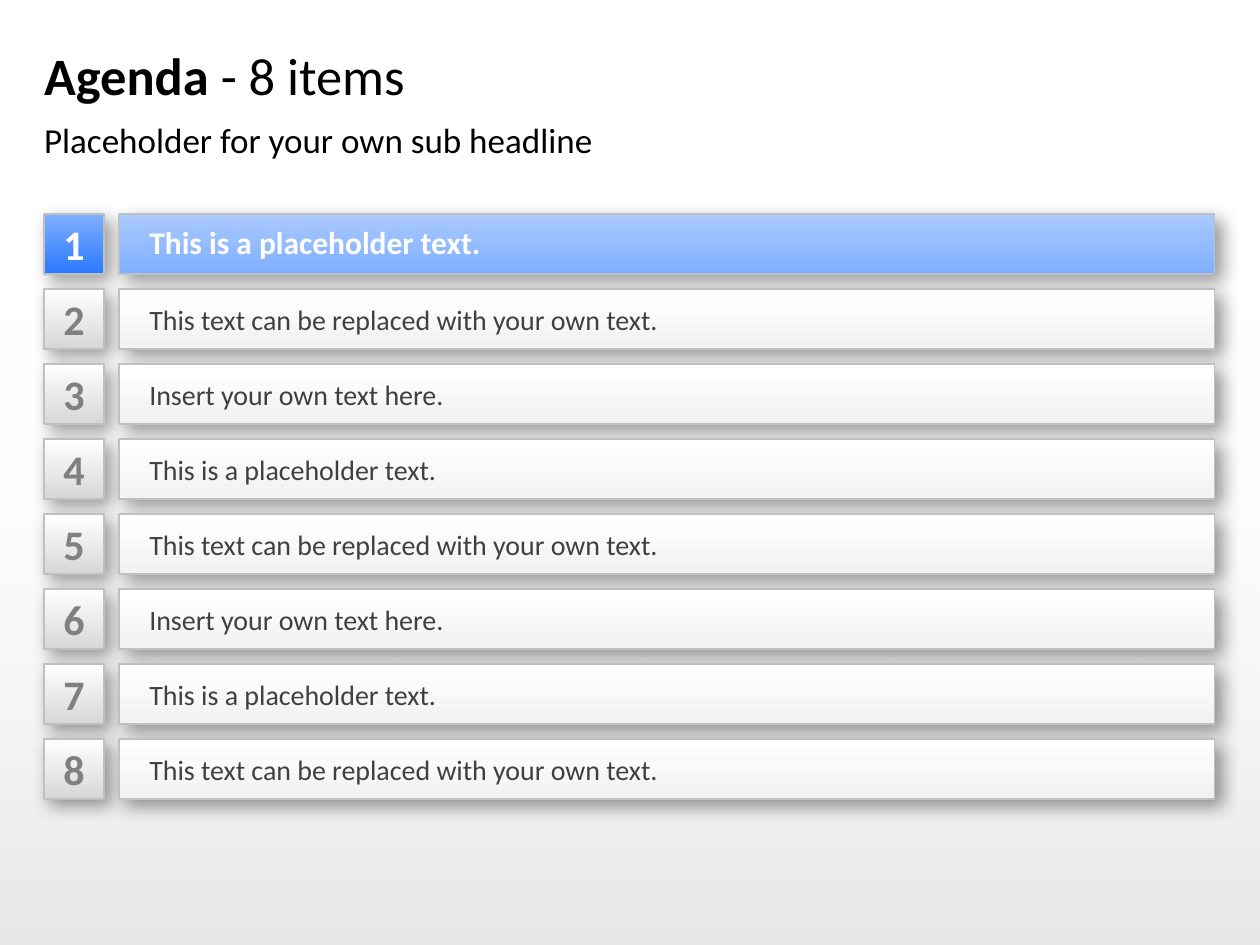
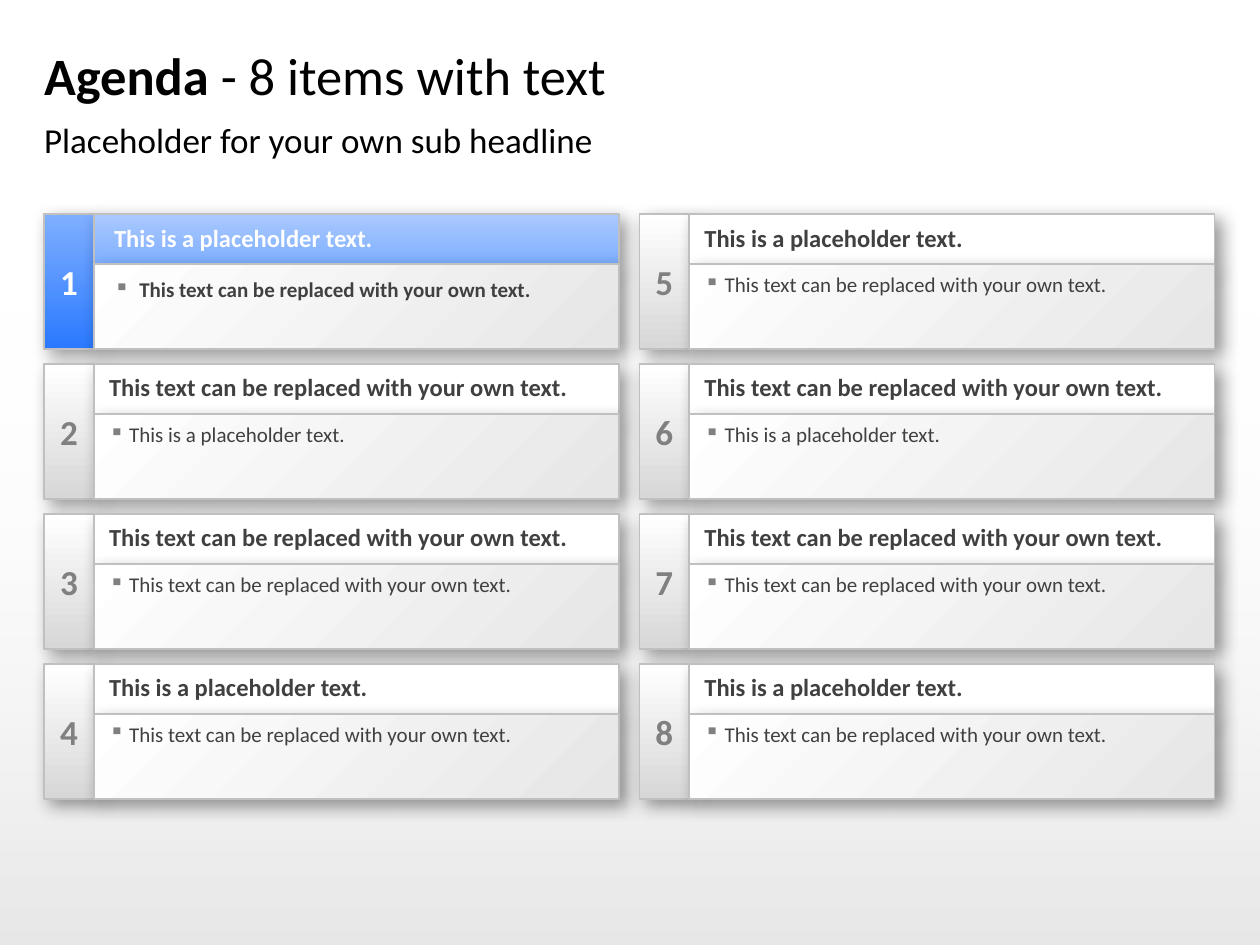
from lxml import etree
from pptx import Presentation
from pptx.dml.color import RGBColor
from pptx.enum.shapes import MSO_SHAPE
from pptx.enum.text import MSO_ANCHOR, MSO_AUTO_SIZE, PP_ALIGN
from pptx.oxml.ns import qn
from pptx.util import Inches, Pt

RECTANGLE = MSO_SHAPE.RECTANGLE
TOP_ANCHOR, MIDDLE = MSO_ANCHOR.TOP, MSO_ANCHOR.MIDDLE
LEFT, CENTER = PP_ALIGN.LEFT, PP_ALIGN.CENTER
NO_AUTOFIT = MSO_AUTO_SIZE.NONE
TITLE_ONLY = 5

COLORS = {
    "black": "000000", "white": "FFFFFF", "ink": "404040", "grey": "808080",
    "border": "C0C0C0", "silver": "D7D7D7", "mist": "E6E6E6", "frost": "F2F2F2",
    "deep blue": "2A79FF", "blue": "7FAFFF", "pale blue": "AAC9FF",
}
FONT = "Calibri"

# Start colour, end colour, angle (counter-clockwise); one name is a plain fill
FILLS = {
    "active badge": ("deep blue", "blue", 90),
    "active bar": ("pale blue", "blue", 270),
    "badge": ("silver", "white", 90),
    "bar": ("white", "frost", 270),
    "heading": ("white",),
    "detail": ("mist", "white", 135),
    "band": ("black", "white", 90),
}

# Page size and the agenda grid, in inches
WIDTH, HEIGHT = 10, 7.5
MARGIN, CONTENT_WIDTH = 0.35, 9.29
GRID_TOP, GRID_BOTTOM = 1.7, 6.34
ROW_GAP, COLUMN_GAP = 0.12, 0.16

PLACEHOLDER = "This is a placeholder text."
REPLACE = "This text can be replaced with your own text."
INSERT = "Insert your own text here."
SUBTITLE = "Placeholder for your own sub headline"


def color(name):
    return RGBColor.from_string(COLORS[name])


def add_xml(parent, tag, **attributes):
    values = {key: str(value) for key, value in attributes.items()}
    return etree.SubElement(parent, qn(tag), values)


def grid_cell(column, row, columns, rows):
    """Left, top, width and height of one cell of the agenda grid."""
    column_step = (CONTENT_WIDTH + COLUMN_GAP) / columns
    row_step = (GRID_BOTTOM - GRID_TOP + ROW_GAP) / rows
    return (MARGIN + column * column_step, GRID_TOP + row * row_step,
            column_step - COLUMN_GAP, row_step - ROW_GAP)


class AgendaDeck:
    def __init__(self):
        self.deck = Presentation()
        self.deck.slide_width, self.deck.slide_height = Inches(WIDTH), Inches(HEIGHT)
        self.page = None

    def start_page(self, topic):
        self.page = self.deck.slides.add_slide(self.deck.slide_layouts[TITLE_ONLY])
        self.band()
        # Title and sub headline
        title = self.page.shapes.title
        self.place(title, MARGIN, 0.26, CONTENT_WIDTH, 0.67)
        self.add_text(title, [("Agenda ", True), (topic, False)], 30, "black")
        box = self.page.shapes.add_textbox(0, 0, 0, 0)
        self.place(box, MARGIN, 0.94, CONTENT_WIDTH, 0.37)
        self.add_text(box, [(SUBTITLE, False)], 20, "black", anchor=TOP_ANCHOR)

    def place(self, shape, *area):
        for name, value in zip(("left", "top", "width", "height"), area):
            setattr(shape, name, Inches(value))

    def fill(self, shape, style):
        if len(FILLS[style]) == 1:
            shape.fill.solid()
            shape.fill.fore_color.rgb = color(FILLS[style][0])
            return
        *stops, angle = FILLS[style]
        shape.fill.gradient()
        shape.fill.gradient_angle = angle
        for stop, name in zip(shape.fill.gradient_stops, stops):
            stop.color.rgb = color(name)

    def band(self):
        """Soft grey fade over the lower part of the page."""
        band = self.page.shapes.add_shape(RECTANGLE, 0, 0, 0, 0)
        self.place(band, 0, 2.21, WIDTH, HEIGHT - 2.21)
        self.fill(band, "band")
        band.line.fill.background()
        band.shadow.inherit = False
        for stop, alpha in zip(band._element.spPr.iter(qn("a:srgbClr")), (10000, 0)):
            add_xml(stop, "a:alpha", val=alpha)

    def panel(self, area, style):
        """Bordered rectangle with a drop shadow."""
        panel = self.page.shapes.add_shape(RECTANGLE, 0, 0, 0, 0)
        self.place(panel, *area)
        self.fill(panel, style)
        panel.line.color.rgb = color("border")
        panel.line.width = Pt(1)
        panel.shadow.inherit = False
        effects = panel._element.spPr.find(qn("a:effectLst"))
        shadow = add_xml(effects, "a:outerShdw", blurRad=Pt(10), dist=Pt(5),
                         dir=45 * 60000, algn="tl", rotWithShape=0)
        shade = add_xml(shadow, "a:srgbClr", val=COLORS["black"])
        add_xml(shade, "a:alpha", val=40000)
        return panel

    def add_text(self, shape, spans, size, ink, padding=(0, 0, 0, 0), anchor=MIDDLE,
                 align=LEFT, spacing=None, bullet_indent=None):
        frame = shape.text_frame
        sides = ("margin_left", "margin_top", "margin_right", "margin_bottom")
        frame_format = dict(zip(sides, map(Inches, padding)), word_wrap=True,
                            auto_size=NO_AUTOFIT, vertical_anchor=anchor)
        for name, value in frame_format.items():
            setattr(frame, name, value)
        para = frame.paragraphs[0]
        if bullet_indent:
            self.bullet(para, bullet_indent)
        para.alignment = align
        if spacing:
            para.line_spacing = spacing
        for text, bold in spans:
            span = para.add_run()
            span.text = text
            for name, value in {"name": FONT, "size": Pt(size), "bold": bold}.items():
                setattr(span.font, name, value)
            span.font.color.rgb = color(ink)

    def bullet(self, para, indent):
        properties = para._p.get_or_add_pPr()
        properties.set("marL", str(Inches(indent)))
        properties.set("indent", str(-Inches(indent)))
        tint = add_xml(properties, "a:buClr")
        add_xml(tint, "a:srgbClr", val=COLORS["grey"])
        add_xml(properties, "a:buChar", char="▪")

    def badge(self, area, number, size, active):
        badge = self.panel(area, "active badge" if active else "badge")
        self.add_text(badge, [(str(number), True)], size,
                      "white" if active else "grey", align=CENTER)

    def agenda_row(self, number, text, rows):
        """Square number badge followed by a full-width bar."""
        active = number == 1
        left, top, width, height = grid_cell(0, number - 1, 1, rows)
        self.badge((left, top, height, height), number, 24, active)
        offset = height + ROW_GAP
        bar = self.panel((left + offset, top, width - offset, height),
                         "active bar" if active else "bar")
        if active:
            self.add_text(bar, [(text, True)], 18, "white", (0.24, 0, 0, 0), spacing=0.9)
        else:
            self.add_text(bar, [(text, False)], 16, "ink", (0.24, 0.04, 0.24, 0.04))

    def agenda_card(self, number, heading, detail, columns, rows):
        """Tall number badge beside a heading and a bulleted detail."""
        active = number == 1
        column, row = divmod(number - 1, rows)
        left, top, width, height = grid_cell(column, row, columns, rows)
        strip = 0.37 * height
        self.badge((left, top, strip, height), number, 20, active)
        left, width = left + strip, width - strip
        header = self.panel((left, top, width, strip),
                            "active bar" if active else "heading")
        self.add_text(header, [(heading, True)], 14, "white" if active else "ink",
                      (0.16, 0, 0, 0) if active else (0.12, 0.04, 0.24, 0.04),
                      spacing=0.9)
        body = self.panel((left, top + strip, width, height - strip), "detail")
        self.add_text(body, [(detail, active)], 12, "ink",
                      (0.16, 0.12, 0.24, 0.12) if active else (0.12, 0.08, 0.24, 0.12),
                      TOP_ANCHOR, spacing=0.9, bullet_indent=0.2 if active else 0.16)


def main():
    agenda = AgendaDeck()

    # Eight single-line items
    agenda.start_page("- 8 items")
    items = ([PLACEHOLDER, REPLACE, INSERT] * 3)[:8]
    for number, text in enumerate(items, 1):
        agenda.agenda_row(number, text, len(items))

    # Eight items with text, the same four in each column
    agenda.start_page("- 8 items with text")
    cards = [(PLACEHOLDER, REPLACE), (REPLACE, PLACEHOLDER),
             (REPLACE, REPLACE), (PLACEHOLDER, REPLACE)]
    for number, (heading, detail) in enumerate(cards * 2, 1):
        agenda.agenda_card(number, heading, detail, 2, len(cards))

    agenda.deck.save("out.pptx")


if __name__ == "__main__":
    main()
